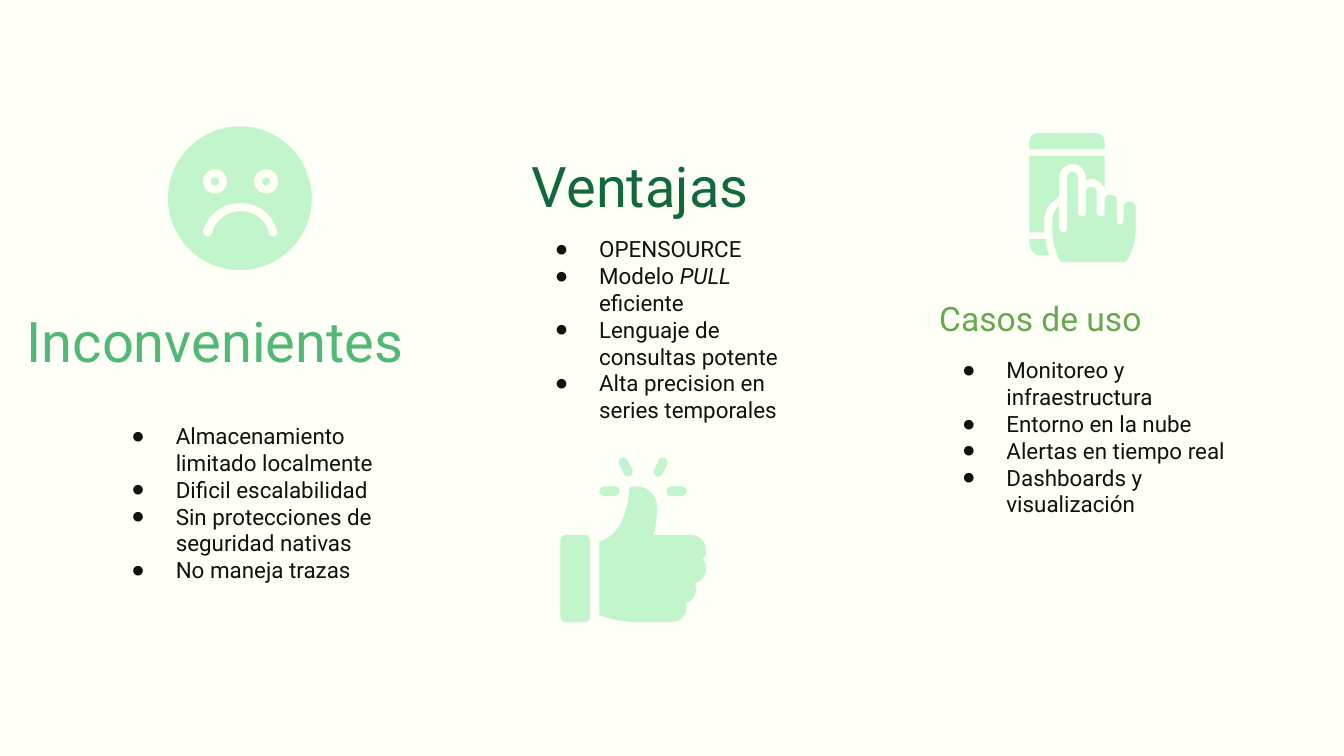
from lxml import etree
from pptx import Presentation
from pptx import util as u
from pptx.dml.color import RGBColor
from pptx.enum import shapes, text
from pptx.oxml import ns

Inches = u.Inches
COLORS = {"bg": "FEFFF6", "ink": "15110E", "icon": "C2F5CC",
          "dark": "13693B", "mid": "52B878", "olive": "6AA84F"}
COLORS = {name: RGBColor.from_string(c) for name, c in COLORS.items()}
CURVE_STEPS = 8

# 16:9 slide
prs = Presentation()
prs.slide_width = Inches(10)
prs.slide_height = Inches(10 * 9 / 16)
s = prs.slides.add_slide(prs.slide_layouts[6])
s.background.fill.solid()
s.background.fill.fore_color.rgb = COLORS["bg"]


def add_preset(icon, kind, box, color="icon", adj=None, rotation=0):
    sp = icon.add_shape(kind, *[Inches(v) for v in box])
    sp.shadow.inherit = False
    sp.fill.solid()
    sp.fill.fore_color.rgb = COLORS[color]
    sp.line.fill.background()
    sp.rotation = rotation
    if adj is not None:
        sp.adjustments[0] = adj


def add_outline(icon, outline, color="icon"):
    """Segments are split by ';': two numbers are a line, six a cubic curve."""
    segments = [[float(v) for v in seg.split()] for seg in outline.split(";")]
    points = [tuple(segments[0])]
    for seg in segments[1:]:
        if len(seg) == 2:
            points.append(tuple(seg))
            continue
        p0, p1, p2, p3 = points[-1], seg[:2], seg[2:4], seg[4:]
        for step in range(1, CURVE_STEPS + 1):
            t = step / CURVE_STEPS
            w = ((1 - t) ** 3, 3 * t * (1 - t) ** 2, 3 * t * t * (1 - t), t ** 3)
            points.append(tuple(sum(k * p[i] for k, p in zip(w, (p0, p1, p2, p3)))
                                for i in (0, 1)))
    points = [(Inches(x), Inches(y)) for x, y in points]
    builder = icon.build_freeform(*points[0])
    builder.add_line_segments(points[1:], close=True)
    sp = builder.convert_to_shape()
    sp.shadow.inherit = False
    sp.fill.solid()
    sp.fill.fore_color.rgb = COLORS[color]
    sp.line.fill.background()


# Headings and bullet lists; *stars* mark italics
COLUMNS = [
    {"title": "Ventajas", "color": "dark", "size": 30,
     "title_box": (3.86, 0.5, 2.38, 1.23), "list_box": (3.86, 1.65, 2.33, 1.59),
     "items": ["OPENSOURCE", "Modelo *PULL *eficiente",
               "Lenguaje de consultas potente",
               "Alta precision en series temporales"]},
    {"title": "Inconvenientes", "color": "mid", "size": 30,
     "title_box": (0.1, 1.33, 4.21, 1.55), "list_box": (0.71, 3.04, 2.33, 1.59),
     "items": ["Almacenamiento limitado localmente", "Dificil escalabilidad",
               "Sin protecciones de seguridad nativas", "No maneja trazas"]},
    {"title": "Casos de uso", "color": "olive", "size": 18,
     "title_box": (6.89, 1.82, 2.33, 0.8), "list_box": (6.89, 2.55, 2.33, 1.59),
     "items": ["Monitoreo y infraestructura", "Entorno en la nube",
               "Alertas en tiempo real", "Dashboards y visualización"]},
]
for col in COLUMNS:
    parts = [("list_box", col["items"], 12, "ink", text.MSO_ANCHOR.TOP),
             ("title_box", [col["title"]], col["size"], col["color"],
              text.MSO_ANCHOR.BOTTOM)]
    for box, lines, size, color, anchor in parts:
        tf = s.shapes.add_textbox(*[Inches(v) for v in col[box]]).text_frame
        frame = {"word_wrap": True, "vertical_anchor": anchor}
        frame.update({f"margin_{side}": Inches(0.1)
                      for side in ("left", "top", "right", "bottom")})
        for name, value in frame.items():
            setattr(tf, name, value)
        for i, line in enumerate(lines):
            p = tf.paragraphs[0] if i == 0 else tf.add_paragraph()
            if box == "list_box":
                pPr = p._p.get_or_add_pPr()
                pPr.set("marL", str(Inches(0.5)))
                pPr.set("indent", str(Inches(-0.33)))
                bu_clr = etree.SubElement(pPr, ns.qn("a:buClr"))
                etree.SubElement(bu_clr, ns.qn("a:srgbClr"), val=str(COLORS["ink"]))
                etree.SubElement(pPr, ns.qn("a:buFont"), typeface="Arial")
                etree.SubElement(pPr, ns.qn("a:buChar"), char="●")
            for j, piece in enumerate(line.split("*")):
                r = p.add_run()
                r.text = piece
                font = {"name": "Roboto", "size": u.Pt(size), "italic": j % 2 == 1}
                for name, value in font.items():
                    setattr(r.font, name, value)
                r.font.color.rgb = COLORS[color]

OVAL = shapes.MSO_SHAPE.OVAL
ROUNDED = shapes.MSO_SHAPE.ROUNDED_RECTANGLE

# Thumbs-up icon: four rays, cuff, hand
icon = s.shapes.add_group_shape().shapes
for x, y, angle in [(4.46, 3.62, 0), (4.58, 3.44, 64),
                    (4.84, 3.44, -64), (4.96, 3.62, 0)]:
    add_preset(icon, ROUNDED, (x, y, 0.15, 0.07), adj=0.5, rotation=angle)
add_preset(icon, ROUNDED, (4.17, 3.98, 0.22, 0.65), adj=0.18)
add_outline(icon, "4.71 3.62; 4.69 3.62 4.68 3.64 4.68 3.66;"
            "4.68 3.74 4.64 3.89 4.58 3.95; 4.54 4 4.5 4.01 4.46 4.03; 4.46 4.58;"
            "4.53 4.6 4.62 4.63 4.76 4.63; 4.99 4.63; 5.07 4.63 5.13 4.56 5.1 4.49;"
            "5.16 4.47 5.2 4.4 5.17 4.34; 5.25 4.32 5.28 4.22 5.23 4.16;"
            "5.25 4.14 5.26 4.11 5.25 4.08; 5.25 4.02 5.19 3.98 5.14 3.98; 4.86 3.98;"
            "4.88 3.94 4.89 3.82 4.89 3.77; 4.89 3.69 4.82 3.62 4.74 3.62")

# Sad face icon: head, eyes, mouth
icon = s.shapes.add_group_shape().shapes
add_preset(icon, OVAL, (1.25, 0.94, 1.07, 1.07))
for x in (1.6, 1.98):
    for radius, color in [(0.09, "bg"), (0.03, "icon")]:
        add_preset(icon, OVAL, (x - radius, 1.35 - radius, 2 * radius, 2 * radius),
                   color)
add_outline(icon, "1.79 1.51; 1.92 1.51 2.03 1.59 2.06 1.72;"
            "2.07 1.73 2.06 1.75 2.04 1.76; 2.03 1.76; 2.02 1.76 2 1.75 2 1.73;"
            "1.98 1.64 1.89 1.57 1.79 1.57; 1.69 1.57 1.6 1.64 1.58 1.73;"
            "1.57 1.75 1.56 1.76 1.55 1.76; 1.54 1.76; 1.52 1.75 1.51 1.73 1.51 1.72;"
            "1.55 1.59 1.66 1.51 1.79 1.51", "bg")

# Phone icon: top edge, screen, bottom edge, hand
icon = s.shapes.add_group_shape().shapes
add_preset(icon, shapes.MSO_SHAPE.ROUND_2_SAME_RECTANGLE,
           (7.66, 0.99, 0.56, 0.12), adj=0.5)
add_outline(icon, "7.66 1.16; 7.66 1.73; 7.77 1.73; 7.77 1.64;"
            "7.77 1.58 7.8 1.52 7.85 1.49; 7.88 1.46; 7.88 1.32;"
            "7.88 1.27 7.93 1.22 7.98 1.22; 8.04 1.22 8.08 1.27 8.08 1.32; 8.08 1.34;"
            "8.09 1.34 8.11 1.33 8.12 1.33; 8.16 1.33 8.2 1.36 8.22 1.4; 8.22 1.16")
add_outline(icon, "7.66 1.78; 7.66 1.81; 7.66 1.86 7.7 1.9 7.74 1.9; 7.81 1.9;"
            "7.79 1.86 7.78 1.82 7.78 1.78")
add_outline(icon, "7.98 1.28; 7.96 1.28 7.94 1.3 7.94 1.32; 7.94 1.7;"
            "7.94 1.71 7.93 1.73 7.91 1.73; 7.9 1.73 7.88 1.71 7.88 1.7; 7.88 1.53;"
            "7.85 1.56 7.83 1.6 7.83 1.64; 7.83 1.7; 7.83 1.78 7.85 1.86 7.88 1.93;"
            "7.89 1.94 7.89 1.95 7.91 1.95; 8.36 1.95; 8.38 1.95 8.38 1.94 8.39 1.93;"
            "8.43 1.86 8.45 1.78 8.45 1.7; 8.45 1.54; 8.45 1.52 8.43 1.5 8.4 1.5;"
            "8.38 1.5 8.36 1.52 8.36 1.54; 8.36 1.64; 8.36 1.66 8.35 1.67 8.33 1.67;"
            "8.32 1.67 8.31 1.66 8.31 1.64; 8.31 1.49; 8.31 1.46 8.29 1.45 8.26 1.45;"
            "8.24 1.45 8.22 1.46 8.22 1.49; 8.22 1.59; 8.22 1.6 8.21 1.61 8.19 1.61;"
            "8.18 1.61 8.16 1.6 8.16 1.59; 8.16 1.43; 8.16 1.41 8.15 1.39 8.12 1.39;"
            "8.1 1.39 8.08 1.41 8.08 1.43; 8.08 1.59; 8.08 1.6 8.07 1.61 8.05 1.61;"
            "8.04 1.61 8.02 1.6 8.02 1.59; 8.02 1.32; 8.02 1.3 8.01 1.28 7.98 1.28")

prs.save("out.pptx")
